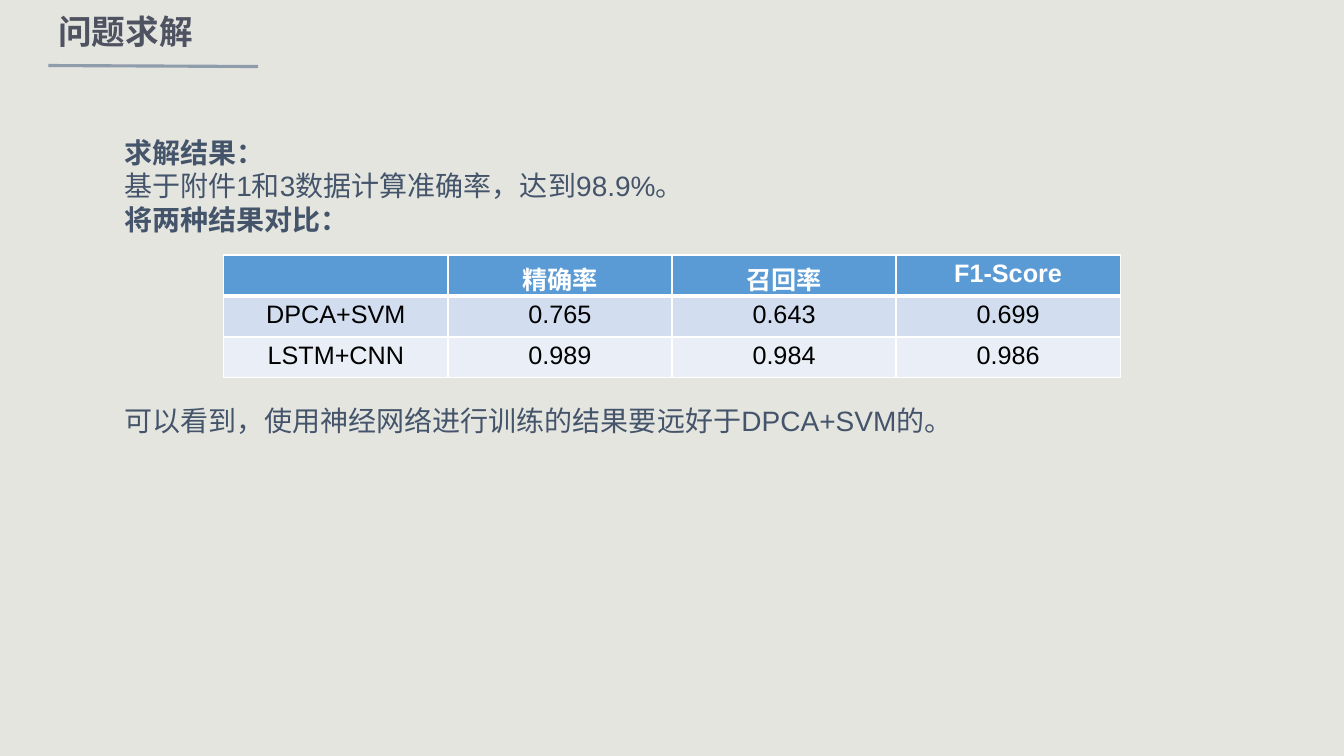
from lxml import etree
from pptx import Presentation
from pptx.dml.color import RGBColor
from pptx.enum.lang import MSO_LANGUAGE_ID
from pptx.enum.shapes import MSO_CONNECTOR
from pptx.enum.text import PP_ALIGN
from pptx.oxml.ns import qn
from pptx.util import Inches, Pt

CHINESE = MSO_LANGUAGE_ID.SIMPLIFIED_CHINESE
STRAIGHT = MSO_CONNECTOR.STRAIGHT
CENTER, JUSTIFY, LEFT = PP_ALIGN.CENTER, PP_ALIGN.JUSTIFY, PP_ALIGN.LEFT


def rgb(value):
    return RGBColor.from_string(value)


def write(paragraph, text, size, color, bold, align):
    run = paragraph.add_run()
    run.text = text
    paragraph.alignment = align
    run.font.color.rgb = rgb(color)
    formats = {"name": "Arial", "size": Pt(size), "bold": bold, "language_id": CHINESE}
    for key, value in formats.items():
        setattr(run.font, key, value)


deck = Presentation()
deck.slide_width, deck.slide_height = Inches(13.33), Inches(7.5)
slide = deck.slides.add_slide(deck.slide_layouts[6])
slide.background.fill.solid()
slide.background.fill.fore_color.rgb = rgb("E5E5E0")

# Heading and its rule
heading = slide.shapes.add_textbox(Inches(0.48), Inches(0.06), Inches(1.55), Inches(0.5))
heading.text_frame.word_wrap = False
write(heading.text_frame.paragraphs[0], "问题求解", 24, "4F5261", True, LEFT)

rule = slide.shapes.add_connector(
    STRAIGHT, Inches(0.48), Inches(0.65), Inches(2.56), Inches(0.66))
rule.line.color.rgb = rgb("8E9CAC")
rule.line.width = Pt(2.25)
etree.SubElement(rule.element.spPr, qn("a:effectLst"))

# Findings, with a gap that leaves room for the table
findings = slide.shapes.add_textbox(
    Inches(0.84), Inches(1.29), Inches(10.19), Inches(4.11)).text_frame
findings.word_wrap = True
findings.margin_left = Inches(0.39)
statements = [
    ("求解结果：", True, 0),
    ("基于附件1和3数据计算准确率，达到98.9%。", False, 0),
    ("将两种结果对比：", True, 0),
    ("可以看到，使用神经网络进行训练的结果要远好于DPCA+SVM的。", False, 120),
]
for index, (text, bold, gap) in enumerate(statements):
    paragraph = findings.add_paragraph() if index else findings.paragraphs[0]
    paragraph.space_before = Pt(gap)
    write(paragraph, text, 20, "44546A", bold, JUSTIFY)

# Comparison of the two methods
scores = [
    ("", "精确率", "召回率", "F1-Score"),
    ("DPCA+SVM", "0.765", "0.643", "0.699"),
    ("LSTM+CNN", "0.989", "0.984", "0.986"),
]
row_fills = ["5B9BD5", "D2DEEF", "EAEFF7"]
comparison = slide.shapes.add_table(
    3, 4, Inches(2.22), Inches(2.53), Inches(8.89), Inches(1.22)).table
for r, (values, fill) in enumerate(zip(scores, row_fills)):
    for c, value in enumerate(values):
        cell = comparison.cell(r, c)
        # The line under the header row is thicker than the others
        widths = {"L": 1, "R": 1, "T": 3 if r == 1 else 1, "B": 3 if r == 0 else 1}
        properties = cell._tc.get_or_add_tcPr()
        for side, width in widths.items():
            border = etree.SubElement(properties, qn(f"a:ln{side}"), w=str(Pt(width)))
            solid = etree.SubElement(border, qn("a:solidFill"))
            etree.SubElement(solid, qn("a:srgbClr"), val="FFFFFF")
        cell.fill.solid()
        cell.fill.fore_color.rgb = rgb(fill)
        if value:
            color = "000000" if r else "FFFFFF"
            write(cell.text_frame.paragraphs[0], value, 18, color, r == 0, CENTER)

deck.save("out.pptx")
